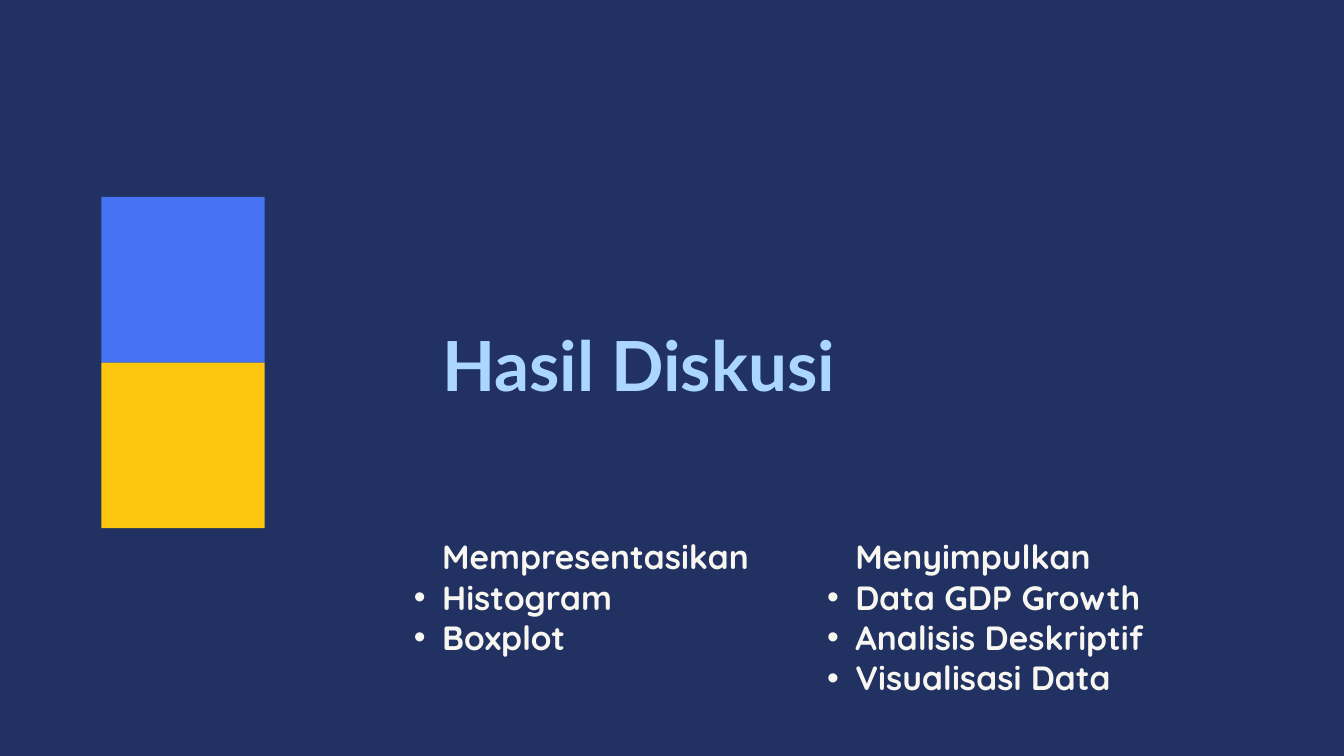
from pptx import Presentation
from pptx.dml.color import RGBColor
from pptx.enum.shapes import MSO_SHAPE
from pptx.enum.text import MSO_ANCHOR, MSO_AUTO_SIZE, PP_ALIGN
from pptx.oxml.ns import qn
from pptx.util import Inches, Pt
from lxml import etree

RECTANGLE = MSO_SHAPE.RECTANGLE
TOP = MSO_ANCHOR.TOP
NO_FIT = MSO_AUTO_SIZE.NONE
LEFT, JUSTIFY = PP_ALIGN.LEFT, PP_ALIGN.JUSTIFY

NAVY = RGBColor(0x20, 0x31, 0x62)
BLUE = RGBColor(0x46, 0x72, 0xF4)
YELLOW = RGBColor(0xFF, 0xC6, 0x10)
SKY = RGBColor(0xAB, 0xD7, 0xFF)
CREAM = RGBColor(0xF8, 0xF6, 0xF1)

TITLE = "Hasil Diskusi"
COLUMNS = [
    ("Mempresentasikan", ["Histogram", "Boxplot"]),
    ("Menyimpulkan", ["Data GDP Growth", "Analisis Deskriptif", "Visualisasi Data"]),
]
BLOCKS = [BLUE, YELLOW]

BLOCK_LEFT, BLOCK_TOP, BLOCK_W, BLOCK_H = 1.51, 2.93, 2.43, 2.465
TEXT_LEFT, COLUMN_STEP = 6.58, 6.15
HEADING_TOP, LIST_TOP = 7.98, 8.58
LIST_INDENT, HANGING, LINE = 0.85, 0.42, 0.6


def place(sp, left, top, width, height):
    sp.left, sp.top = Inches(left), Inches(top)
    sp.width, sp.height = Inches(width), Inches(height)


def write(sp, lines, font="Quicksand", size=36, color=CREAM, bullets=False):
    tf = sp.text_frame
    tf.word_wrap = True
    tf.auto_size = NO_FIT
    tf.vertical_anchor = TOP
    tf.margin_left = tf.margin_right = tf.margin_top = tf.margin_bottom = 0
    for i, line in enumerate(lines):
        p = tf.paragraphs[0] if i == 0 else tf.add_paragraph()
        pPr = p._p.get_or_add_pPr()
        pPr.set("marL", str(Inches(LIST_INDENT if bullets else 0)))
        pPr.set("indent", str(Inches(-HANGING if bullets else 0)))
        if bullets:
            etree.SubElement(pPr, qn("a:buFont")).set("typeface", "Arial")
            etree.SubElement(pPr, qn("a:buChar")).set("char", "•")
        else:
            etree.SubElement(pPr, qn("a:buNone"))
        p.alignment = JUSTIFY if bullets else LEFT
        p.line_spacing = Pt(size * 1.2)
        p.space_before = p.space_after = Pt(0)
        r = p.add_run()
        r.text = line
        r.font.name, r.font.size, r.font.bold = font, Pt(size), True
        r.font.color.rgb = color


prs = Presentation()
prs.slide_width, prs.slide_height = Inches(20), Inches(11.25)
s = prs.slides.add_slide(prs.slide_layouts.get_by_name("Comparison"))
s.background.fill.solid()
s.background.fill.fore_color.rgb = NAVY

for i, color in enumerate(BLOCKS):
    sp = s.shapes.add_shape(RECTANGLE, Inches(BLOCK_LEFT), Inches(BLOCK_TOP + i * BLOCK_H),
                            Inches(BLOCK_W), Inches(BLOCK_H))
    sp.shadow.inherit = False
    sp.fill.solid()
    sp.fill.fore_color.rgb = color
    sp.line.fill.background()

place(s.shapes.title, TEXT_LEFT, 4.8, 8.33, 1.46)
write(s.shapes.title, [TITLE], font="Lato", size=74, color=SKY)

for i, (heading, items) in enumerate(COLUMNS):
    left = TEXT_LEFT + i * COLUMN_STEP
    head, body = s.placeholders[1 + 2 * i], s.placeholders[2 + 2 * i]
    place(head, left, HEADING_TOP, 5.3, LINE)
    write(head, [heading])
    place(body, left - LIST_INDENT, LIST_TOP, 5.6, LINE * len(items))
    write(body, items, bullets=True)

prs.save("out.pptx")
